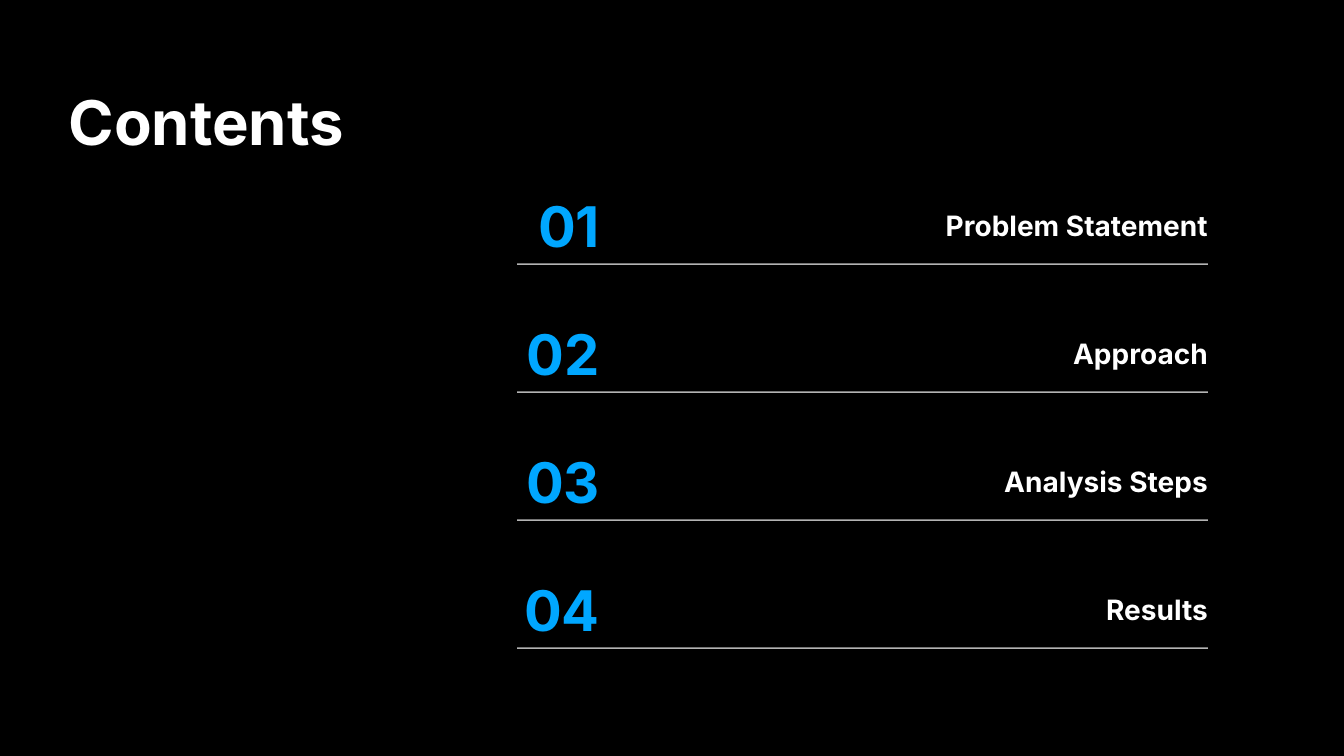
import pptx
import pptx.util
import pptx.dml.color
import pptx.enum.shapes
import pptx.enum.text
import lxml.etree
from pptx.util import Inches

TITLE = "Contents"
SECTIONS = ["Problem Statement", "Approach", "Analysis Steps", "Results"]

COLORS = {"background": "000000", "text": "FFFFFF", "number": "00A7FF"}
FONT = "Inter"
FIRST_ROW_TOP, ROW_PITCH, ROW_HEIGHT = 1.85, 1.27, 0.77
NUMBER_LEFT, NUMBER_WIDTH = 4.75, 1.2
NAME_LEFT, RULE_LEFT, ROW_RIGHT = 6.29, 5.13, 11.98
RULE_OPACITY = 70

ALIGN = pptx.enum.text.PP_ALIGN
ANCHOR = pptx.enum.text.MSO_ANCHOR


def rgb(name):
    return pptx.dml.color.RGBColor.from_string(COLORS[name])


def write_text(shape, text, size, color, align, anchor, wrap=True):
    frame = shape.text_frame
    frame.margin_left = frame.margin_right = 0
    frame.margin_top = frame.margin_bottom = 0
    frame.auto_size = pptx.enum.text.MSO_AUTO_SIZE.NONE
    frame.vertical_anchor = anchor
    frame.word_wrap = wrap
    frame.text = text
    paragraph = frame.paragraphs[0]
    paragraph.alignment = align
    paragraph.font.name = FONT
    paragraph.font.size = pptx.util.Pt(size)
    paragraph.font.bold = True
    paragraph.font.color.rgb = rgb(color)


def add_rule(slide, top):
    """Draw the translucent line under a row."""
    rule = slide.shapes.add_connector(
        pptx.enum.shapes.MSO_CONNECTOR.STRAIGHT,
        Inches(RULE_LEFT), Inches(top), Inches(ROW_RIGHT), Inches(top))
    rule.line.width = pptx.util.Pt(1)
    rule.line.color.rgb = rgb("text")
    properties = rule._element.spPr
    color = properties.find(".//" + pptx.oxml.ns.qn("a:srgbClr"))
    alpha = lxml.etree.SubElement(color, pptx.oxml.ns.qn("a:alpha"))
    alpha.set("val", str(RULE_OPACITY * 1000))
    lxml.etree.SubElement(properties, pptx.oxml.ns.qn("a:effectLst"))


def add_section(slide, index, name):
    top = FIRST_ROW_TOP + index * ROW_PITCH
    number_box = slide.shapes.add_textbox(
        Inches(NUMBER_LEFT), Inches(top), Inches(NUMBER_WIDTH), Inches(ROW_HEIGHT))
    write_text(number_box, f"{index + 1:02d}", 40, "number",
               ALIGN.RIGHT, ANCHOR.MIDDLE, wrap=False)
    name_box = slide.shapes.add_textbox(
        Inches(NAME_LEFT), Inches(top),
        Inches(ROW_RIGHT - NAME_LEFT), Inches(ROW_HEIGHT))
    write_text(name_box, name, 20, "text", ALIGN.RIGHT, ANCHOR.MIDDLE)
    add_rule(slide, top + ROW_HEIGHT)


def main():
    presentation = pptx.Presentation()
    presentation.slide_width = Inches(13.33)
    presentation.slide_height = Inches(7.5)
    slide = presentation.slides.add_slide(presentation.slide_layouts[5])
    slide.background.fill.solid()
    slide.background.fill.fore_color.rgb = rgb("background")

    title = slide.shapes.title
    title.left, title.top = Inches(0.68), Inches(0.83)
    title.width, title.height = Inches(3.57), Inches(6.08)
    write_text(title, TITLE, 44, "text", ALIGN.LEFT, ANCHOR.TOP)

    for index, name in enumerate(SECTIONS):
        add_section(slide, index, name)
    presentation.save("out.pptx")


if __name__ == "__main__":
    main()
